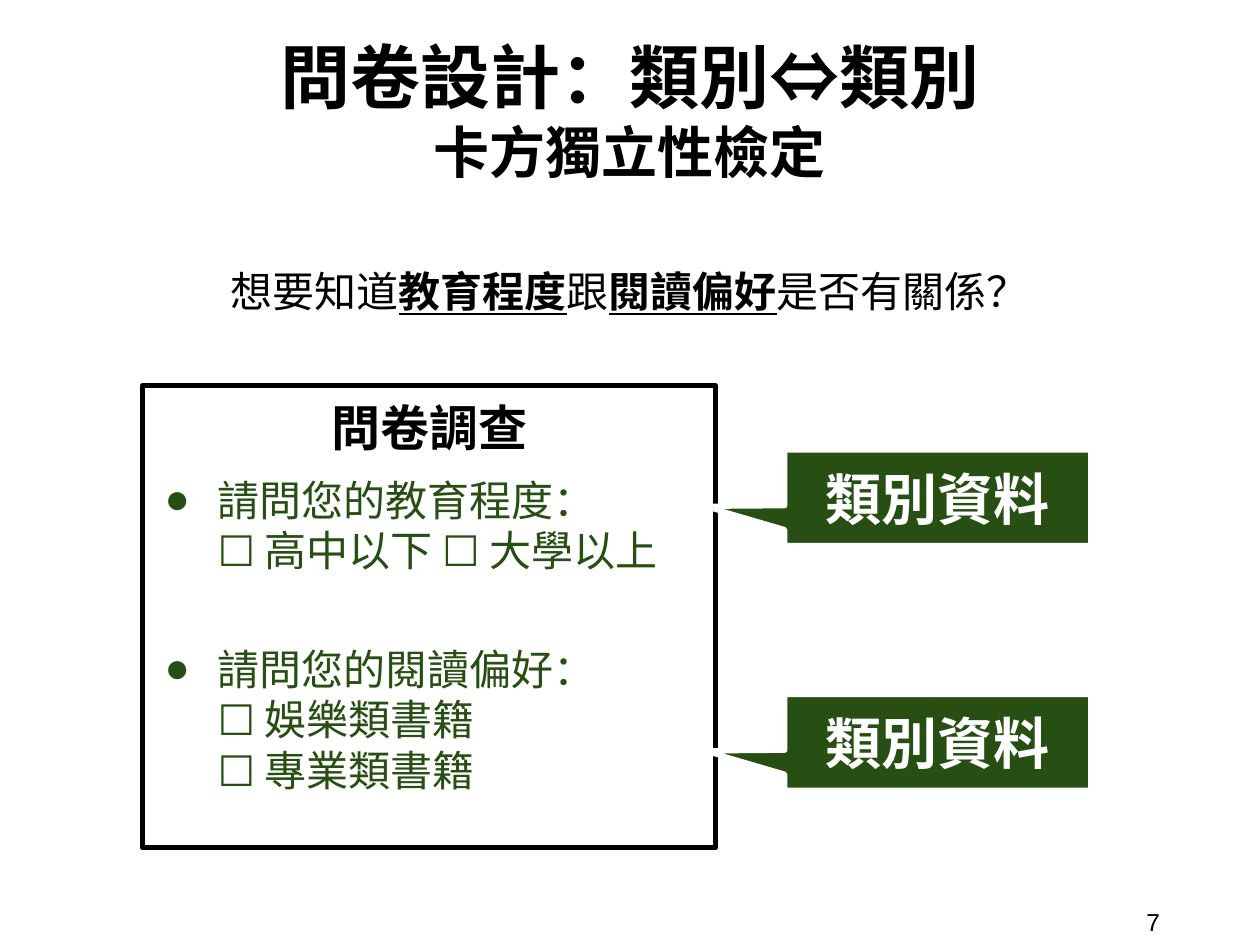
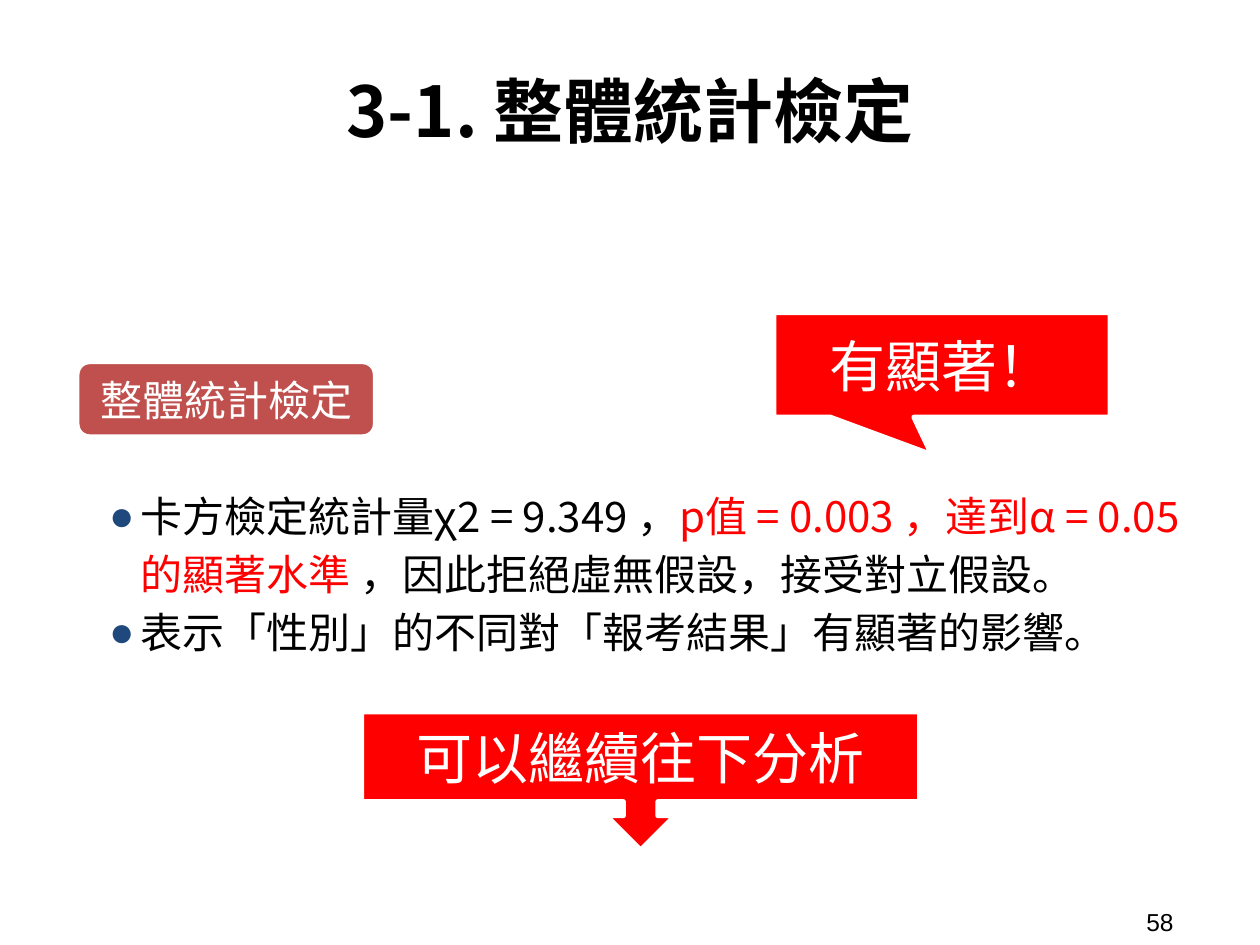
from dataclasses import dataclass

from lxml import etree
from pptx import Presentation
from pptx.dml.color import RGBColor
from pptx.enum.shapes import MSO_SHAPE
from pptx.enum.text import MSO_ANCHOR, PP_ALIGN
from pptx.oxml.ns import qn
from pptx.util import Cm, Pt

RECTANGLE = MSO_SHAPE.RECTANGLE
ROUNDED = MSO_SHAPE.ROUNDED_RECTANGLE
SPEECH = MSO_SHAPE.ROUNDED_RECTANGULAR_CALLOUT
DOWN_CALLOUT = MSO_SHAPE.DOWN_ARROW_CALLOUT
CENTER, LEFT = PP_ALIGN.CENTER, PP_ALIGN.LEFT
TOP, MIDDLE = MSO_ANCHOR.TOP, MSO_ANCHOR.MIDDLE


@dataclass(frozen=True)
class Theme:
    black: str = "000000"
    white: str = "FFFFFF"
    green: str = "274E13"
    red: str = "FF0000"
    brick: str = "C0504D"
    navy: str = "1F497D"
    latin: str = "Arial"
    cjk: str = "Noto Sans CJK TC"
    title: int = 40
    label: int = 32
    heading: int = 28
    body: int = 24
    page: int = 14
    outline: int = 3
    body_spacing: float = 1.15


THEME = Theme()

# Content
SURVEY_TITLE = ["問卷設計：類別⇔類別", "卡方獨立性檢定"]
SURVEY_QUESTION = [
    ("想要知道", {}),
    ("教育程度", {"bold": True, "underline": True}),
    ("跟", {}),
    ("閱讀偏好", {"bold": True, "underline": True}),
    ("是否有關係？", {}),
]
SURVEY_HEADING = "問卷調查"
SURVEY_ITEMS = [
    "請問您的教育程度：\n☐ 高中以下 ☐ 大學以上",
    "請問您的閱讀偏好：\n☐ 娛樂類書籍\n☐ 專業類書籍",
]
DATA_TYPE = "類別資料"

TEST_TITLE = ["3-1. 整體統計檢定"]
TEST_BADGE = "整體統計檢定"
TEST_FINDINGS = [
    [
        ("卡方檢定統計量χ2 = 9.349 ，", {}),
        ("p值 = 0.003 ，達到α = 0.05的顯著水準", {"color": THEME.red}),
        (" ，因此拒絕虛無假設，接受對立假設。", {}),
    ],
    [("表示「性別」的不同對「報考結果」有顯著的影響。", {})],
]
TEST_VERDICT = "有顯著！"
TEST_NEXT = "可以繼續往下分析"

# Places in centimetres: left, top, width, height
TITLE_BOX = (1.32, 0.48, 22.76, 3.45)
PAGE_BOX = (22.86, 18.21, 2.34, 0.74)
BODY_LEFT, BODY_TOP, BODY_WIDTH = 1.32, 4.95, 22.76
CALLOUT_TOP, CALLOUT_STEP = 9.07, 4.93


def write(frame, text, first=False, align=CENTER, before=0, after=0, spacing=None,
          bullet=None, indent=(0, 0), size=THEME.body, color=THEME.black,
          font=THEME.latin, bold=False):
    """Add a paragraph; text is a string or a list of (string, run format)."""
    paragraph = frame.paragraphs[0] if first else frame.add_paragraph()
    paragraph.alignment = align
    paragraph.space_before, paragraph.space_after = Pt(before), Pt(after)
    if spacing:
        paragraph.line_spacing = spacing
    if bullet:
        properties = paragraph._p.get_or_add_pPr()
        properties.set("marL", str(Cm(indent[0])))
        properties.set("indent", str(Cm(indent[1])))
        bullet_color = etree.SubElement(properties, qn("a:buClr"))
        etree.SubElement(bullet_color, qn("a:srgbClr"), val=bullet)
        etree.SubElement(properties, qn("a:buFont"), typeface=THEME.latin)
        etree.SubElement(properties, qn("a:buChar"), char="●")
    for words, style in [(text, {})] if isinstance(text, str) else text:
        for number, line in enumerate(words.split("\n")):
            if number:
                paragraph.add_line_break()
            run = paragraph.add_run()
            run.text = line
            run.font.size = Pt(size)
            run.font.name = font
            run.font.bold = style.get("bold", bold)
            run.font.underline = style.get("underline", False)
            run.font.color.rgb = RGBColor.from_string(style.get("color", color))
            etree.SubElement(run._r.get_or_add_rPr(), qn("a:ea"), typeface=THEME.cjk)


def prepare(frame, anchor, inset_y=0.25):
    frame.word_wrap = True
    frame.vertical_anchor = anchor
    frame.margin_left = frame.margin_right = Cm(0.25)
    frame.margin_top = frame.margin_bottom = Cm(inset_y)
    return frame


def add_text_area(slide, box, anchor=MIDDLE, **insets):
    textbox = slide.shapes.add_textbox(*map(Cm, box))
    return prepare(textbox.text_frame, anchor, **insets)


def add_panel(slide, kind, box, fill, line=THEME.white, adjust=(), anchor=MIDDLE):
    panel = slide.shapes.add_shape(kind, *map(Cm, box))
    panel.shadow.inherit = False
    for position, value in enumerate(adjust):
        panel.adjustments[position] = value
    panel.fill.solid()
    panel.fill.fore_color.rgb = RGBColor.from_string(fill)
    panel.line.color.rgb = RGBColor.from_string(line)
    panel.line.width = Pt(THEME.outline)
    return prepare(panel.text_frame, anchor)


def add_label(slide, text, kind, box, fill, adjust, size=THEME.label, bold=False):
    frame = add_panel(slide, kind, box, fill, adjust=adjust)
    write(frame, text, first=True, size=size, color=THEME.white, bold=bold)


def start_slide(deck, title_lines, page):
    """Add a blank slide with the shared title and page number."""
    slide = deck.slides.add_slide(deck.slide_layouts[6])
    title = add_text_area(slide, TITLE_BOX)
    for number, line in enumerate(title_lines):
        write(title, line, first=number == 0, font=THEME.cjk, bold=True,
              size=THEME.label if number else THEME.title)
    footer = add_text_area(slide, PAGE_BOX, inset_y=0.13)
    write(footer, str(page), first=True, align=LEFT, size=THEME.page)
    return slide


def build_survey(deck):
    slide = start_slide(deck, SURVEY_TITLE, 7)
    question = add_text_area(slide, (BODY_LEFT, BODY_TOP, BODY_WIDTH, 2.51), TOP)
    write(question, SURVEY_QUESTION, first=True, font=THEME.cjk,
          spacing=THEME.body_spacing)

    survey = add_panel(slide, RECTANGLE, (2.87, 7.77, 11.56, 9.32), THEME.white,
                       line=THEME.black, anchor=TOP)
    write(survey, SURVEY_HEADING, first=True, after=10, size=THEME.heading, bold=True)
    for number, item in enumerate(SURVEY_ITEMS):
        write(survey, item, align=LEFT, before=39 * number, color=THEME.green,
              bullet=THEME.green, indent=(1.27, -1.07))
        add_label(slide, DATA_TYPE, SPEECH,
                  (15.82, CALLOUT_TOP + number * CALLOUT_STEP, 6.17, 1.93),
                  THEME.green, (-0.76, 0.09, 0), bold=True)


def build_test(deck):
    slide = start_slide(deck, TEST_TITLE, 58)
    findings = add_text_area(slide, (BODY_LEFT, BODY_TOP, BODY_WIDTH, 13.08))
    for number, finding in enumerate(TEST_FINDINGS):
        write(findings, finding, first=number == 0, align=LEFT, font=THEME.cjk,
              spacing=THEME.body_spacing, bullet=THEME.navy, indent=(1.27, -0.64))
    add_label(slide, TEST_VERDICT, SPEECH, (15.6, 6.3, 6.78, 2.11),
              THEME.red, (-0.03, 0.86, 0))
    add_label(slide, TEST_NEXT, DOWN_CALLOUT, (7.29, 14.35, 11.25, 2.79),
              THEME.red, (0.25, 0.25, 0.25, 0.65))
    add_label(slide, TEST_BADGE, ROUNDED, (1.55, 7.29, 6.02, 1.52),
              THEME.brick, (0.17,), size=THEME.body)


def main():
    deck = Presentation()
    deck.slide_width, deck.slide_height = Cm(25.4), Cm(19.05)
    build_survey(deck)
    build_test(deck)
    deck.save("out.pptx")


if __name__ == "__main__":
    main()
